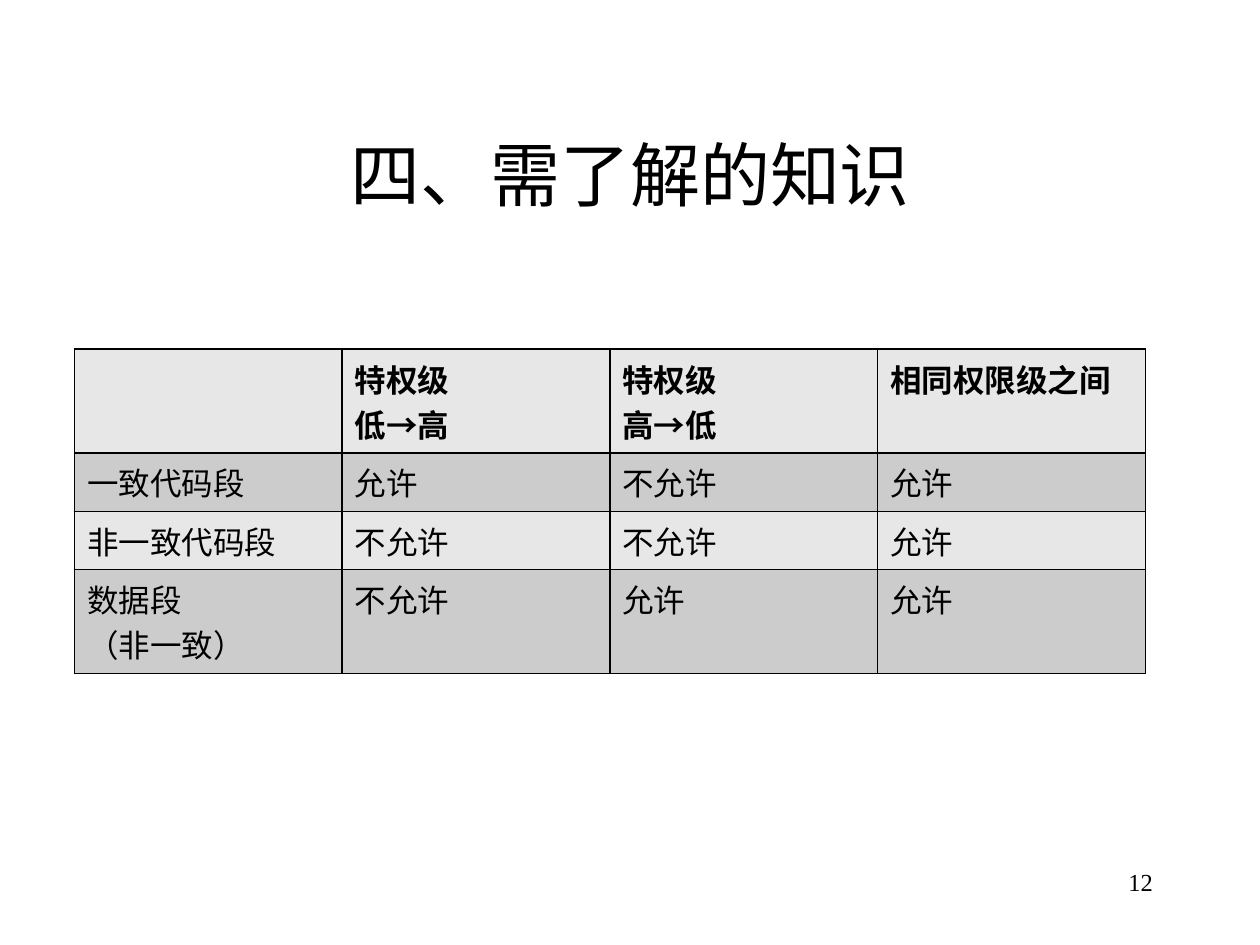
from dataclasses import dataclass

from lxml.etree import SubElement
from pptx import Presentation
from pptx.dml.color import RGBColor
from pptx.enum.text import MSO_ANCHOR as Anchor, PP_ALIGN as Align
from pptx.oxml.ns import qn
from pptx.util import Cm, Pt

COLORS = {"ink": "000000", "light": "E7E7E7", "dark": "CCCCCC"}
BORDER_TAGS = ("a:lnL", "a:lnR", "a:lnT", "a:lnB")


@dataclass(frozen=True)
class Box:
    left: float
    top: float
    width: float
    height: float

    def lengths(self) -> tuple:
        return tuple(Cm(v) for v in (self.left, self.top, self.width, self.height))


@dataclass(frozen=True)
class Row:
    cells: tuple[str, ...]
    height: float
    fill: str
    bold: bool = False


TITLE_BOX = Box(1.91, 2.13, 21.59, 2.74)
TABLE_BOX = Box(1.5, 7.04, 21.59, 5.61)
NUMBER_BOX = Box(18.21, 17.35, 5.28, 1.27)

ROWS = (
    Row(("", "特权级\n低→高", "特权级\n高→低", "相同权限级之间"), 1.78, "light", bold=True),
    Row(("一致代码段", "允许", "不允许", "允许"), 1.04, "dark"),
    Row(("非一致代码段", "不允许", "不允许", "允许"), 1.04, "light"),
    Row(("数据段\n（非一致）", "不允许", "允许", "允许"), 1.78, "dark"),
)


def write_text(frame, text: str, align: Align, **font_format) -> None:
    frame.text = text
    for paragraph in frame.paragraphs:
        paragraph.alignment = align
        for run in paragraph.runs:
            for name, value in font_format.items():
                setattr(run.font, name, value)
            run.font.color.rgb = RGBColor.from_string(COLORS["ink"])


def add_borders(cell) -> None:
    properties = cell._tc.get_or_add_tcPr()
    for index, tag in enumerate(BORDER_TAGS):
        line = properties.makeelement(qn(tag), {"w": str(Pt(1))})
        fill = SubElement(line, qn("a:solidFill"))
        SubElement(fill, qn("a:srgbClr"), val=COLORS["ink"])
        properties.insert(index, line)


def add_title(slide) -> None:
    title = slide.shapes.title
    title.left, title.top, title.width, title.height = TITLE_BOX.lengths()
    title.text_frame.vertical_anchor = Anchor.MIDDLE
    write_text(title.text_frame, "四、需了解的知识", Align.CENTER, name="Cabin", size=Pt(40))


def add_permission_table(slide, rows: tuple[Row, ...]) -> None:
    column_count = len(rows[0].cells)
    table = slide.shapes.add_table(len(rows), column_count, *TABLE_BOX.lengths()).table
    table.horz_banding = False
    for column in table.columns:
        column.width = Cm(TABLE_BOX.width / column_count)
    for row_index, row in enumerate(rows):
        table.rows[row_index].height = Cm(row.height)
        for column_index, text in enumerate(row.cells):
            cell = table.cell(row_index, column_index)
            cell.fill.solid()
            cell.fill.fore_color.rgb = RGBColor.from_string(COLORS[row.fill])
            write_text(cell.text_frame, text, Align.LEFT,
                       name="Arial", size=Pt(18), bold=row.bold)
            add_borders(cell)


def add_slide_number(slide, number: int) -> None:
    frame = slide.shapes.add_textbox(*NUMBER_BOX.lengths()).text_frame
    frame.word_wrap = True
    write_text(frame, str(number), Align.RIGHT, name="Times New Roman", size=Pt(14))


def main() -> None:
    presentation = Presentation()
    presentation.slide_width, presentation.slide_height = Cm(25.4), Cm(19.05)
    slide = presentation.slides.add_slide(presentation.slide_layouts.get_by_name("Title Only"))
    add_title(slide)
    add_permission_table(slide, ROWS)
    add_slide_number(slide, 12)
    presentation.save("out.pptx")


if __name__ == "__main__":
    main()
